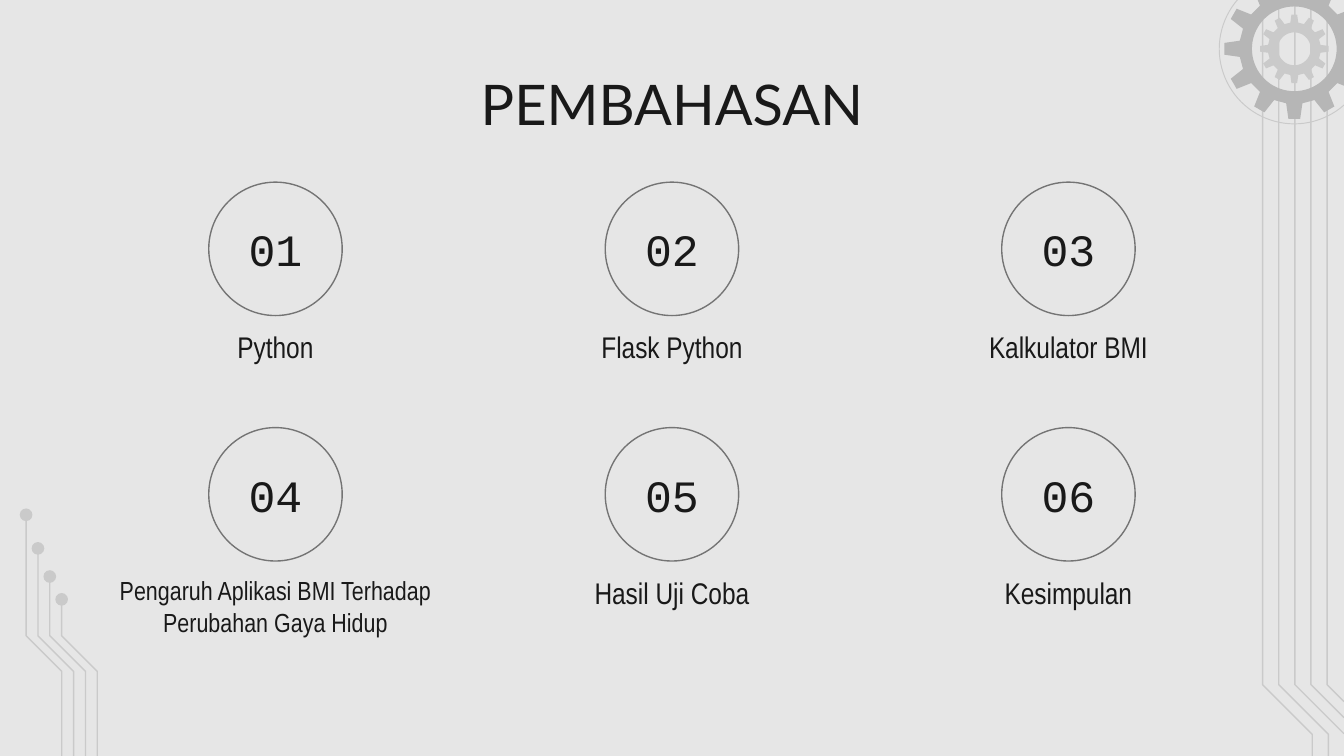
"""Build the PEMBAHASAN agenda slide with circuit lines and gears."""
from math import cos, pi, sin

from pptx import Presentation
from pptx import util as u
from pptx.dml.color import RGBColor
from pptx.enum import shapes, text

TITLE = "PEMBAHASAN"
ITEMS = [
    ("Python", 16),
    ("Flask Python", 16),
    ("Kalkulator BMI", 16),
    ("Pengaruh Aplikasi BMI Terhadap Perubahan Gaya Hidup", 14),
    ("Hasil Uji Coba", 16),
    ("Kesimpulan", 16),
]
THEME = {
    "back": "E6E6E6", "ink": "191919", "ring": "747474",
    "trace": "CACACA", "gear": "B6B6B6",
    "title": ("Lato", 30), "number": ("Courier New", 24), "label": "Arial Narrow",
}
WIDE, HIGH = 720, 405
COLS, MID, TOP = 3, 360, 97.6
STEP_X, STEP_Y = 212.4, 131.5
DISC, LABEL_W, LABEL_H = 71.5, 183, 60
TEETH, HUB = 12, (693.4, 26.2)
GEARS = [("trace", 18.4, 14.2, 8.8), ("gear", 37.6, 29.5, 22.7)]
HALO = 40.2
RIGHT = {"x": 676.4, "step": 8.64, "bend": 366.8, "run": 26.6, "tops": [0] * 5}
LEFT = {"x": 14, "step": 6.35, "bend": 340.6, "run": 19.1,
        "tops": [275.8, 293.8, 308.9, 321.1]}
DOT = 3.4

deck = Presentation()
deck.slide_width, deck.slide_height = u.Pt(WIDE), u.Pt(HIGH)
slide = deck.slides.add_slide(deck.slide_layouts[6])
tree = slide.shapes


def tint(key):
    return RGBColor.from_string(THEME[key])


def paint(shape, fill=None, line=None, width=0.75):
    shape.shadow.inherit = False
    if fill:
        shape.fill.solid()
        shape.fill.fore_color.rgb = tint(fill)
    else:
        shape.fill.background()
    if line:
        shape.line.color.rgb = tint(line)
        shape.line.width = u.Pt(width)
    else:
        shape.line.fill.background()
    return shape


def disc(x, y, radius, **look):
    size = u.Pt(2 * radius)
    oval = tree.add_shape(shapes.MSO_SHAPE.OVAL, u.Pt(x - radius), u.Pt(y - radius), size, size)
    return paint(oval, **look)


def outline(paths, close=True, **look):
    paths = [[(u.Pt(x), u.Pt(y)) for x, y in path] for path in paths]
    pen = tree.build_freeform(*paths[0][0])
    for i, path in enumerate(paths):
        if i:
            pen.move_to(*path[0])
        pen.add_line_segments(path[1:], close=close)
    return paint(pen.convert_to_shape(), **look)


def write(shape, words, font, size, inset=7.2, anchor=text.MSO_ANCHOR.TOP):
    frame = shape.text_frame
    frame.text = words
    frame.word_wrap = True
    frame.vertical_anchor = anchor
    frame.margin_left = frame.margin_right = u.Pt(inset)
    frame.margin_top = frame.margin_bottom = u.Pt(inset)
    line = frame.paragraphs[0]
    line.alignment = text.PP_ALIGN.CENTER
    face = line.runs[0].font
    face.name, face.size, face.color.rgb = font, u.Pt(size), tint("ink")


def box(x, y, w, h):
    return tree.add_textbox(u.Pt(x), u.Pt(y), u.Pt(w), u.Pt(h))


def traces(x, step, bend, run, tops):
    for i, top in enumerate(tops):
        at = x + i * step
        reach = min(run, WIDE - at)
        path = [(at, top), (at, bend), (at + reach, bend + reach)]
        if reach == run:
            path.append((at + run, HIGH))
        outline([path], close=False, line="trace")
        if top:
            disc(at, top, DOT, fill="trace")


def polar(radius, angle):
    return HUB[0] + radius * cos(angle), HUB[1] + radius * sin(angle)


def gear(fill, tip, root, hole):
    edge = [(root, -8.5), (tip, -4.8), (tip, 4.8), (root, 8.5)]
    rim = [polar(r, 2 * pi * n / TEETH + a * pi / 180)
           for n in range(TEETH) for r, a in edge]
    core = [polar(hole, -2 * pi * n / 72) for n in range(72)]
    outline([rim, core], fill=fill)


slide.background.fill.solid()
slide.background.fill.fore_color.rgb = tint("back")
traces(**RIGHT)
traces(**LEFT)
for part in GEARS:
    gear(*part)
disc(*HUB, HALO, line="trace", width=0.5)

write(box(56.7, 30.2, 606.6, 45.4), TITLE, *THEME["title"])
for i, (words, size) in enumerate(ITEMS):
    row, col = divmod(i, COLS)
    x, y = MID + (col - 1) * STEP_X, TOP + row * STEP_Y
    ring = disc(x, y + DISC / 2, DISC / 2, line="ring")
    write(ring, f"{i + 1:02}", *THEME["number"], inset=0, anchor=text.MSO_ANCHOR.MIDDLE)
    write(box(x - LABEL_W / 2, y + DISC, LABEL_W, LABEL_H), words, THEME["label"], size)

deck.save("out.pptx")
